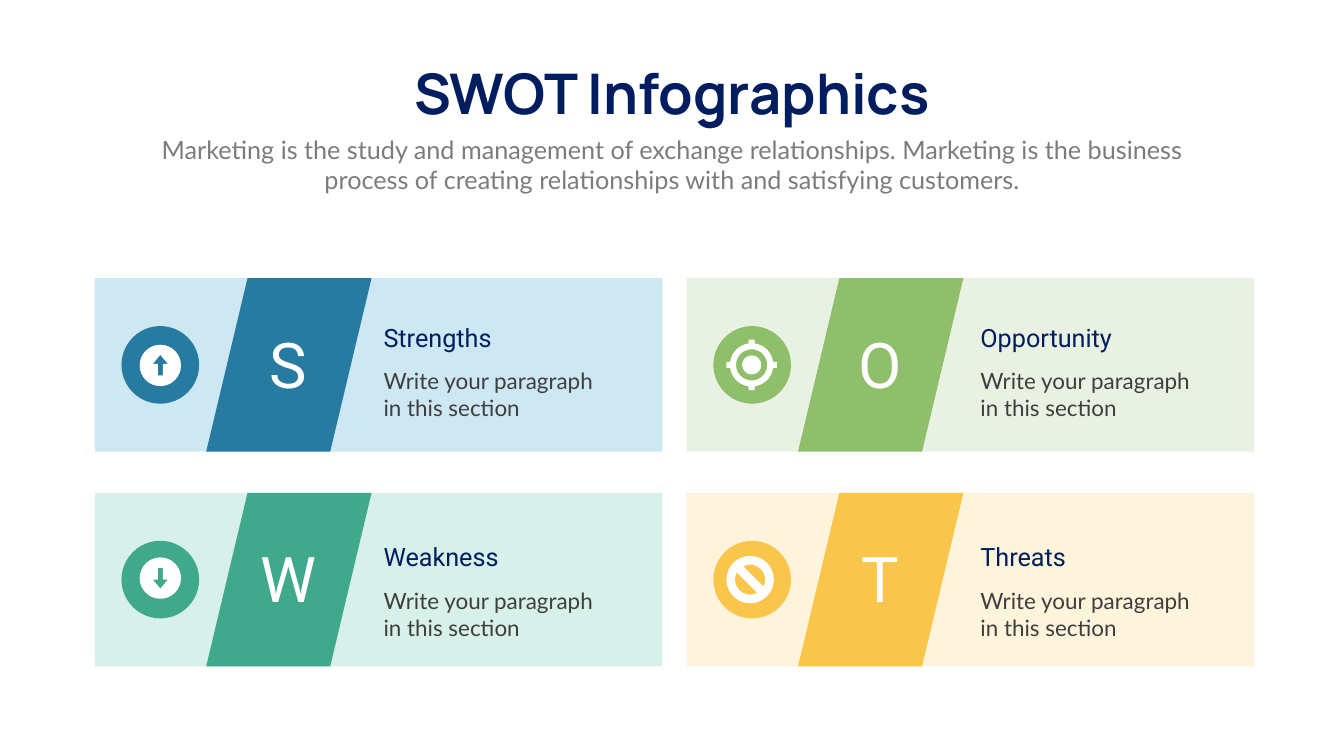
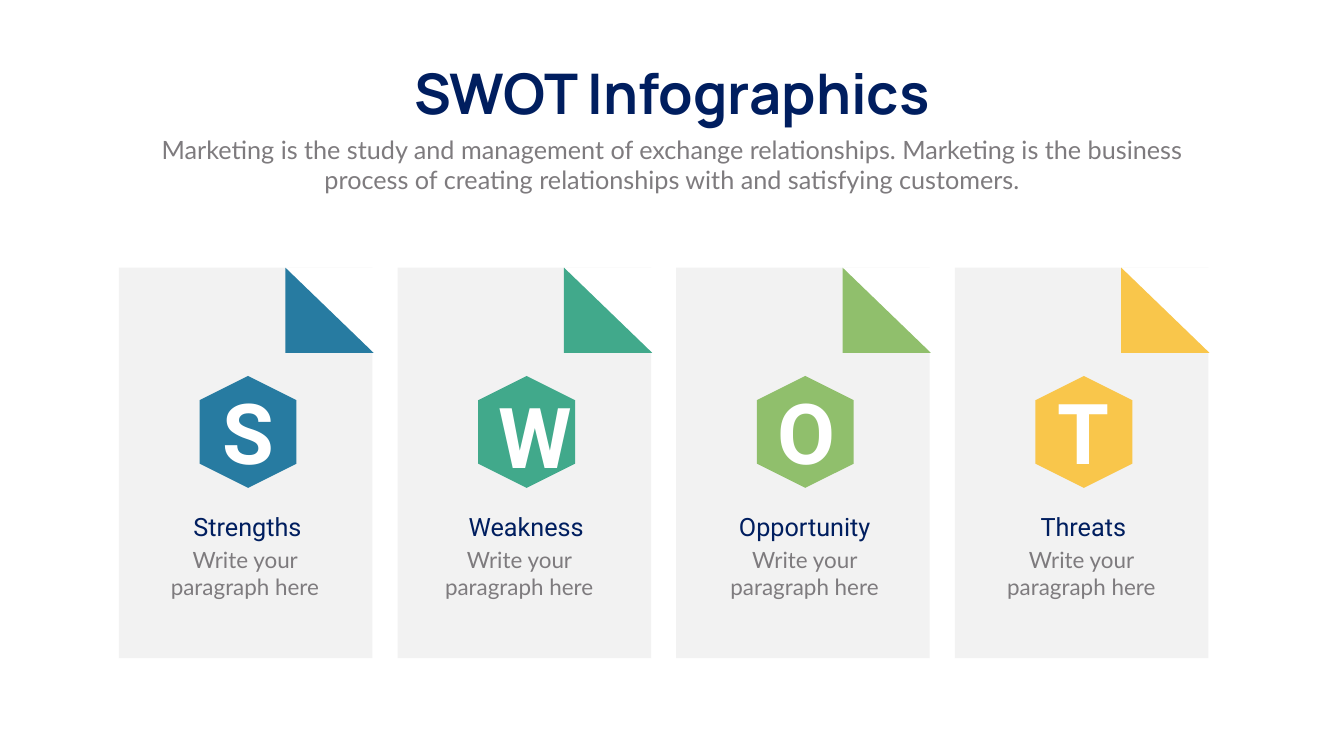
import math

import lxml.etree
import pptx
import pptx.dml.color
import pptx.enum.shapes
import pptx.enum.text
import pptx.oxml.ns
import pptx.util

Inches = pptx.util.Inches
SHAPE = pptx.enum.shapes.MSO_SHAPE
ALIGN = pptx.enum.text.PP_ALIGN
qn = pptx.oxml.ns.qn

COLORS = {
    "navy": "001E5F", "gray": "7E7B7E", "dark": "3F3E3F", "white": "FFFFFF", "paper": "F2F2F2",
    "blue": "277BA1", "blue_pale": "CDE7F3", "teal": "41A98B", "teal_pale": "D7F0E9",
    "green": "90BF6C", "green_pale": "E9F2E2", "yellow": "F9C64B", "yellow_pale": "FEF4DB",
}
TITLE = "SWOT Infographics"
SUBTITLE = ("Marketing is the study and management of exchange relationships. "
            "Marketing is the business process of creating relationships with and satisfying customers.")
TOPICS = [("Strengths", "blue"), ("Weakness", "teal"), ("Opportunity", "green"), ("Threats", "yellow")]


def rgb(name):
    """Return the palette colour with this name."""
    return pptx.dml.color.RGBColor.from_string(COLORS[name])


def place(box, left, top, width, height):
    """Move and size a box, in inches."""
    box.left, box.top = Inches(left), Inches(top)
    box.width, box.height = Inches(width), Inches(height)


def write(box, text, size=36, font="Lato", color="gray", bold=False, align=ALIGN.CENTER, wrap=True):
    """Fill a box with one formatted paragraph."""
    frame = box.text_frame
    frame.word_wrap = wrap
    frame.auto_size = pptx.enum.text.MSO_AUTO_SIZE.SHAPE_TO_FIT_TEXT
    frame.vertical_anchor = pptx.enum.text.MSO_ANCHOR.TOP
    para = frame.paragraphs[0]
    para.alignment = align
    para.space_before = pptx.util.Pt(0)
    span = para.add_run()
    span.text = text
    span.font.size = pptx.util.Pt(size)
    span.font.name = font
    span.font.bold = bold
    span.font.color.rgb = rgb(color)


def add_text(page, text, left, top, width, height, **style):
    """Add a text box, placed in inches."""
    box = page.shapes.add_textbox(Inches(left), Inches(top), Inches(width), Inches(height))
    write(box, text, **style)


def paint(shape, color):
    """Give a shape a flat fill with no line or shadow."""
    shape.shadow.inherit = False
    shape.fill.solid()
    shape.fill.fore_color.rgb = rgb(color)
    shape.line.fill.background()


def add_block(page, kind, color, left, top, width, height, rotation=0):
    """Add a flat preset shape, placed in inches."""
    shape = page.shapes.add_shape(kind, Inches(left), Inches(top), Inches(width), Inches(height))
    shape.rotation = rotation
    paint(shape, color)


def polar(radius, angle):
    """Return the point at this radius and angle in degrees."""
    return radius * math.cos(math.radians(angle)), radius * math.sin(math.radians(angle))


def arc(radius, start=0, end=360):
    """Return a start point and Bezier curves of at most a quarter turn each."""
    count = math.ceil((end - start) / 90)
    sweep = (end - start) / count
    reach = radius * 4 / 3 * math.tan(math.radians(sweep / 4))
    pieces = [[polar(radius, start)]]
    for number in range(count):
        before, after = start + sweep * number, start + sweep * (number + 1)
        (x1, y1), (x2, y2) = polar(radius, before), polar(radius, after)
        (dx1, dy1), (dx2, dy2) = polar(reach, before + 90), polar(reach, after + 90)
        pieces.append([(x1 + dx1, y1 + dy1), (x2 - dx2, y2 - dy2), (x2, y2)])
    return pieces


def arrow_icon(direction):
    """Return a disc with an arrow cut out, pointing up for 1 and down for -1."""
    arrow = [(-0.05, 0.2), (-0.05, -0.03), (-0.15, -0.03), (0, -0.21),
             (0.15, -0.03), (0.05, -0.03), (0.05, 0.2)]
    return [arc(0.41), [[(x, y * direction)] for x, y in arrow]]


def target_icon():
    """Return a ring with four ticks."""
    rim = []
    for turn, (cos, sin) in enumerate([(1, 0), (0, 1), (-1, 0), (0, -1)]):
        for x, y in [(0.5, -0.06), (0.5, 0.06)]:
            rim.append([(x * cos - y * sin, x * sin + y * cos)])
        rim += arc(0.43, 90 * turn + 8, 90 * turn + 82)
    return [rim, arc(0.31)]


def ban_icon():
    """Return a ring with a diagonal bar."""
    return [arc(0.47), arc(0.3, 62, 208), arc(0.3, 242, 388)]


def add_icon(page, contours, center_x, center_y):
    """Draw white contours around a centre; inner contours become holes."""
    builder = None
    for contour in contours:
        ends = [(Inches(center_x + piece[-1][0]), Inches(center_y + piece[-1][1])) for piece in contour]
        if builder is None:
            builder = page.shapes.build_freeform(*ends[0])
        else:
            builder.move_to(*ends[0])
        builder.add_line_segments(ends[1:], close=True)
    shape = builder.convert_to_shape()
    paint(shape, "white")
    pieces = [piece for contour in contours for piece in contour[1:]]
    for segment, piece in zip(list(shape.element.iter(qn("a:lnTo"))), pieces):
        if len(piece) == 3:
            curve = lxml.etree.Element(qn("a:cubicBezTo"))
            for x, y in piece:
                point = lxml.etree.SubElement(curve, qn("a:pt"))
                point.set("x", str(Inches(center_x + x) - shape.left))
                point.set("y", str(Inches(center_y + y) - shape.top))
            segment.getparent().replace(segment, curve)


def add_page(deck):
    """Add a slide with the shared title and subtitle."""
    page = deck.slides.add_slide(deck.slide_layouts[0])
    title, subtitle = page.placeholders
    place(title, 7.72, 1.12, 11.22, 1.45)
    write(title, TITLE, size=80, font="Manrope", color="navy", bold=True, wrap=False)
    place(subtitle, 2.92, 2.61, 20.82, 1.31)
    write(subtitle, SUBTITLE)
    return page


def add_banner(page, topic, color, column, row):
    """Add one wide banner of the two by two grid."""
    left, top = 1.88 + 11.74 * column, 5.52 + 4.26 * row
    text_left, text_top = 7.51 + 11.84 * column, 6.34 + 4.36 * row
    add_block(page, SHAPE.RECTANGLE, color + "_pale", left, top, 11.26, 3.44)
    add_block(page, SHAPE.PARALLELOGRAM, color, left + 2.21, top, 3.28, 3.44)
    add_block(page, SHAPE.OVAL, color, left + 0.53, top + 0.95, 1.54, 1.54)
    add_text(page, topic[0], left + 3.12, top + 0.88, 1.45, 1.62, size=90, font="Roboto", color="white")
    add_text(page, topic, text_left, text_top, 3.26, 0.71, font="Roboto", color="navy", align=ALIGN.LEFT)
    add_text(page, "Write your paragraph in this section", text_left, text_top + 0.9, 4.54, 1.18,
             size=32, color="dark", align=ALIGN.LEFT)


def add_sheet(page, topic, color, column, note_left, letter_top):
    """Add one paper sheet with a folded corner."""
    left, top = 2.36 + 16.58 * column / 3, 5.31
    add_block(page, SHAPE.RECTANGLE, "paper", left, top, 5.03, 7.75)
    add_block(page, SHAPE.RIGHT_TRIANGLE, "white", left + 3.3, top, 1.75, 1.69, rotation=180)
    add_block(page, SHAPE.RIGHT_TRIANGLE, color, left + 3.3, top, 1.75, 1.69)
    add_block(page, SHAPE.HEXAGON, color, left + 1.45, 7.61, 2.22, 1.92, rotation=270)
    add_text(page, topic[0], left + 1.91, letter_top, 1.3, 2.12,
             size=120, font="Roboto", color="white", bold=True)
    add_text(page, topic, left + 0.92, 10.09, 3.26, 0.71, font="Roboto", color="navy")
    add_text(page, "Write your paragraph here", note_left, 10.78, 3.18, 1.18, size=32)


def build_banners(deck):
    """Build the slide of four banners with icons."""
    page = add_page(deck)
    for index, (topic, color) in enumerate(TOPICS):
        add_banner(page, topic, color, *divmod(index, 2))
    add_icon(page, arrow_icon(1), 3.18, 7.25)
    add_icon(page, arrow_icon(-1), 3.18, 11.47)
    add_icon(page, [arc(0.19)], 14.91, 7.24)
    add_icon(page, target_icon(), 14.91, 7.24)
    add_icon(page, ban_icon(), 14.88, 11.5)


def build_sheets(deck):
    """Build the slide of four folded sheets."""
    page = add_page(deck)
    note_lefts = [3.27, 8.71, 14.37, 19.86]
    letter_tops = [7.5, 7.58, 7.5, 7.5]
    for column, (topic, color) in enumerate(TOPICS):
        add_sheet(page, topic, color, column, note_lefts[column], letter_tops[column])


def main():
    """Build and save the deck."""
    deck = pptx.Presentation()
    deck.slide_width, deck.slide_height = Inches(26.66), Inches(15)
    build_banners(deck)
    build_sheets(deck)
    deck.save("out.pptx")


if __name__ == "__main__":
    main()
